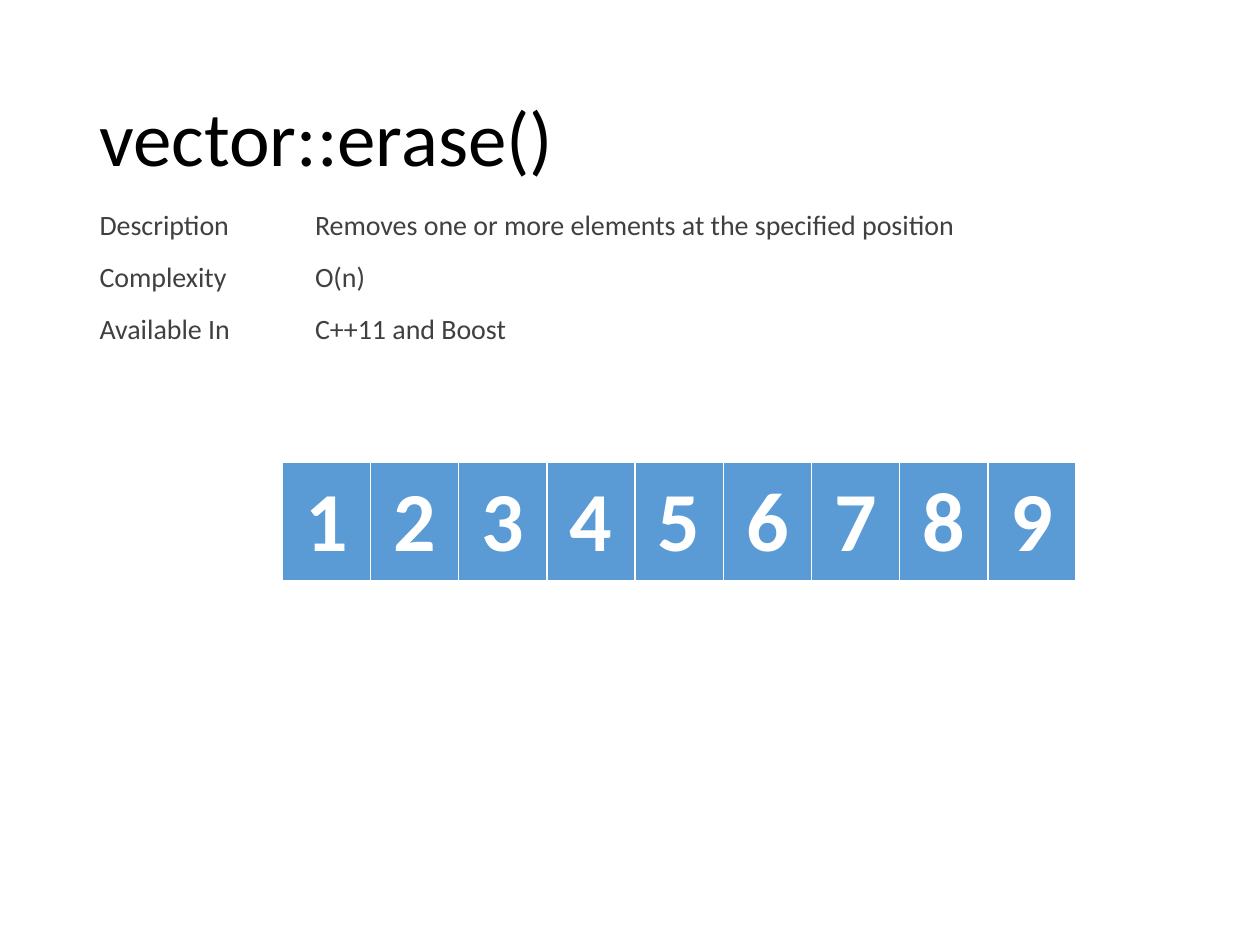
from lxml import etree
from pptx import Presentation
from pptx.dml.color import RGBColor
from pptx.enum import text
from pptx.oxml.ns import qn
from pptx.util import Inches, Pt

HEADING = "vector::erase()"
DETAILS = [
    ("Description", "Removes one or more elements at the specified position"),
    ("Complexity", "O(n)"),
    ("Available In", "C++11 and Boost"),
]
ELEMENT_GROUPS = [["1", "2", "3", "4"], ["5"], ["6", "7", "8", "9"]]

THEME = {
    "heading": {"name": "Calibri", "size": Pt(44), "bold": False, "color": "000000"},
    "detail": {"name": "Calibri", "size": Pt(16), "bold": False, "color": "404040"},
    "element": {"name": "Calibri", "size": Pt(48), "bold": True, "color": "FFFFFF"},
    "element_fill": "5B9BD5",
    "border": "FFFFFF",
}
BORDERS = {"lnL": 1, "lnR": 1, "lnT": 1, "lnB": 3}
ELEMENT_INSETS = {
    "margin_left": Inches(0.15),
    "margin_right": Inches(0.15),
    "margin_top": Inches(0.07),
    "margin_bottom": Inches(0.07),
}
LEFT = 0.69
DETAIL_WIDTHS, DETAIL_HEIGHT = (1.71, 6.52), 0.41
ELEMENT_LEFT, ELEMENT_TOP = 2.24, 3.67
ELEMENT_WIDTH, ELEMENT_HEIGHT = 0.7, 0.95


def write(paragraph, words, style):
    run = paragraph.add_run()
    run.text = words
    for key, value in style.items():
        if key == "color":
            run.font.color.rgb = RGBColor.from_string(value)
        else:
            setattr(run.font, key, value)


def add_grid(slide, rows, left, top, widths, height, style):
    frame = slide.shapes.add_table(
        len(rows), len(widths), Inches(left), Inches(top),
        Inches(sum(widths)), Inches(height * len(rows)))
    grid = frame.table
    grid.first_row = grid.horz_banding = False
    for column, width in zip(grid.columns, widths):
        column.width = Inches(width)
    for row, entries in zip(grid.rows, rows):
        row.height = Inches(height)
        for cell, entry in zip(row.cells, entries):
            write(cell.text_frame.paragraphs[0], entry, style)
            cell.fill.background()
    return grid


def add_borders(cell):
    properties = cell._tc.get_or_add_tcPr()
    for position, (side, points) in enumerate(BORDERS.items()):
        line = etree.Element(qn(f"a:{side}"), w=str(Pt(points)))
        fill = etree.SubElement(line, qn("a:solidFill"))
        etree.SubElement(fill, qn("a:srgbClr"), val=THEME["border"])
        properties.insert(position, line)


def add_elements(slide, elements, left):
    grid = add_grid(slide, [elements], left, ELEMENT_TOP,
                    [ELEMENT_WIDTH] * len(elements), ELEMENT_HEIGHT, THEME["element"])
    for cell in grid.iter_cells():
        for key, value in ELEMENT_INSETS.items():
            setattr(cell, key, value)
        cell.text_frame.paragraphs[0].alignment = text.PP_ALIGN.CENTER
        cell.fill.solid()
        cell.fill.fore_color.rgb = RGBColor.from_string(THEME["element_fill"])
        add_borders(cell)


def main():
    deck = Presentation()
    deck.slide_width, deck.slide_height = Inches(10), Inches(7.5)
    slide = deck.slides.add_slide(deck.slide_layouts[6])

    heading = slide.shapes.add_textbox(
        Inches(LEFT), Inches(0.4), Inches(8.62), Inches(1.45)).text_frame
    heading.word_wrap = True
    heading.vertical_anchor = text.MSO_ANCHOR.MIDDLE
    heading.paragraphs[0].line_spacing = 0.9
    write(heading.paragraphs[0], HEADING, THEME["heading"])

    add_grid(slide, DETAILS, LEFT, 1.61, DETAIL_WIDTHS, DETAIL_HEIGHT, THEME["detail"])

    left = ELEMENT_LEFT
    for elements in ELEMENT_GROUPS:
        add_elements(slide, elements, left)
        left += ELEMENT_WIDTH * len(elements)

    deck.save("out.pptx")


if __name__ == "__main__":
    main()
